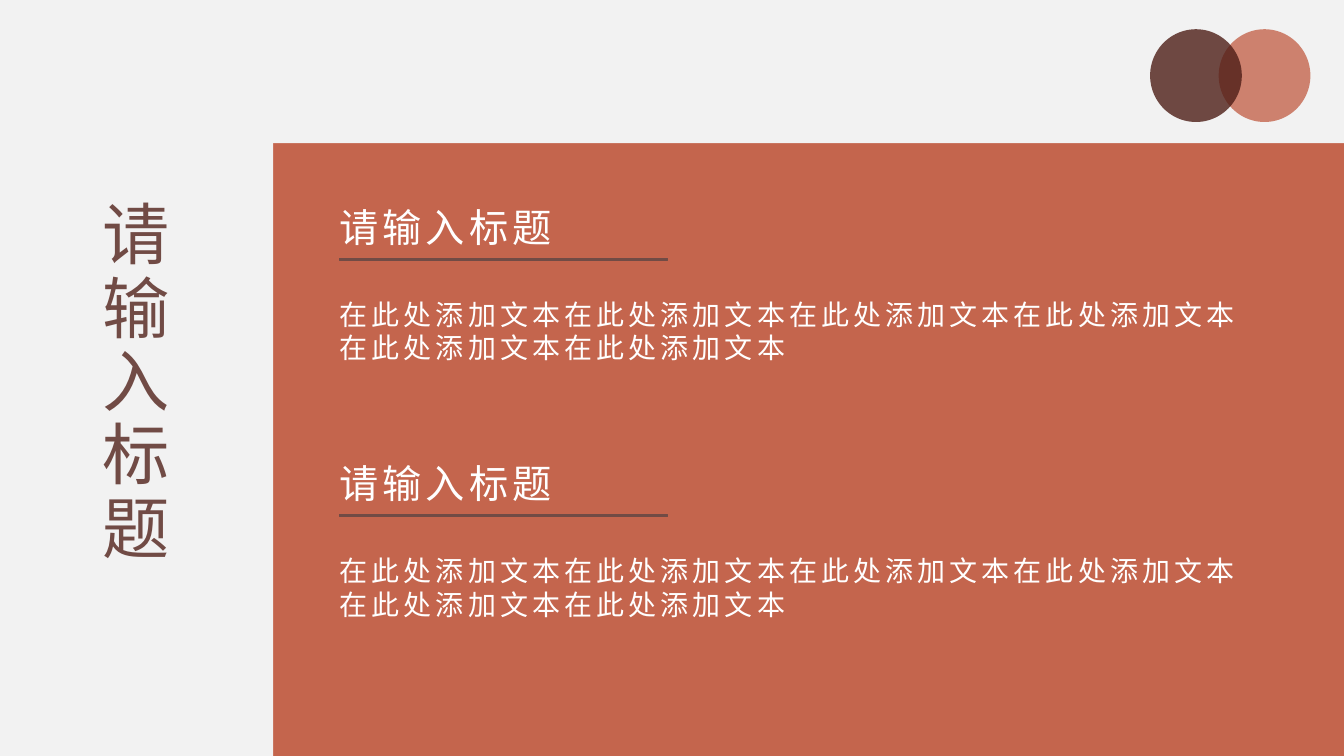
from dataclasses import dataclass
from typing import Optional

from lxml.etree import SubElement
from pptx import Presentation
from pptx.dml.color import RGBColor
from pptx.enum.shapes import MSO_SHAPE
from pptx.enum.text import MSO_AUTO_SIZE, PP_ALIGN
from pptx.oxml.ns import qn
from pptx.shapes.autoshape import Shape
from pptx.slide import Slide
from pptx.util import Inches, Pt


@dataclass(frozen=True)
class Theme:
    font: str = "Noto Sans CJK SC"
    terracotta: str = "C4654D"
    pale: str = "F2F2F2"
    brown: str = "714B45"
    dark_brown: str = "4E1E17"
    white: str = "FFFFFF"
    title_size: int = 48
    heading_size: int = 28
    body_size: int = 20


@dataclass(frozen=True)
class Area:
    """Left, top, width and height in columns and rows."""
    left: float
    top: float
    width: float
    height: float


@dataclass(frozen=True)
class Section:
    heading: str
    body: str


@dataclass(frozen=True)
class Circle:
    left: float
    color: str


THEME = Theme()
SLIDE_WIDTH, SLIDE_HEIGHT = Inches(40 / 3), Inches(7.5)
COLUMNS, ROWS = 160, 90

# Grid positions
BAND_ROWS, SIDE_COLUMNS = 17.04, 32.52
TEXT_LEFT = 40.44
FIRST_SECTION_TOP, SECTION_PITCH = 21.36, 30.55
RULE_OFFSET, BODY_OFFSET = 9.36, 14.04

TITLE = "请输入标题"
SECTIONS = [Section("请输入标题", "在此处添加文本" * 6)] * 2
CIRCLES = [Circle(145.08, THEME.terracotta), Circle(136.92, THEME.dark_brown)]


def place(area: Area) -> tuple[int, int, int, int]:
    return (
        round(area.left * SLIDE_WIDTH / COLUMNS),
        round(area.top * SLIDE_HEIGHT / ROWS),
        round(area.width * SLIDE_WIDTH / COLUMNS),
        round(area.height * SLIDE_HEIGHT / ROWS),
    )


def add_figure(page: Slide, area: Area, color: str,
               kind: MSO_SHAPE = MSO_SHAPE.RECTANGLE,
               opacity: int = 100, line_width: float = 0) -> Shape:
    figure = page.shapes.add_shape(kind, *place(area))
    figure.shadow.inherit = False
    figure.fill.solid()
    figure.fill.fore_color.rgb = RGBColor.from_string(color)
    if opacity < 100:
        color_node = figure.fill._xPr.find(qn("a:solidFill"))[0]
        SubElement(color_node, qn("a:alpha"), val=str(opacity * 1000))
    if line_width:
        figure.line.color.rgb = RGBColor.from_string(color)
        figure.line.width = Pt(line_width)
    else:
        figure.line.fill.background()
    return figure


def add_text(page: Slide, area: Area, text: str, *, size: float, color: str,
             tracking: float, line_spacing: Optional[float] = None,
             align: PP_ALIGN = PP_ALIGN.LEFT, vertical: bool = False) -> Shape:
    box = page.shapes.add_textbox(*place(area))
    frame = box.text_frame
    frame.word_wrap = True
    frame.auto_size = MSO_AUTO_SIZE.SHAPE_TO_FIT_TEXT
    frame.margin_left = frame.margin_right = 0
    frame.margin_top = frame.margin_bottom = 0
    if vertical:
        frame._txBody.bodyPr.set("vert", "eaVert")
    para = frame.paragraphs[0]
    para.alignment = align
    if line_spacing:
        para.line_spacing = Pt(line_spacing)
    span = para.add_run()
    span.text = text
    span.font.size = Pt(size)
    span.font.name = THEME.font
    span.font.color.rgb = RGBColor.from_string(color)
    properties = span._r.get_or_add_rPr()
    properties.set("spc", str(round(tracking * 100)))
    SubElement(properties, qn("a:ea"), typeface=THEME.font)
    return box


def add_section(page: Slide, section: Section, top: float) -> None:
    add_text(page, Area(TEXT_LEFT, top + BODY_OFFSET, 108.72, 12.12),
             section.body, size=THEME.body_size, color=THEME.white,
             tracking=2.9)
    add_text(page, Area(TEXT_LEFT, top, 52.8, 7.56), section.heading,
             size=THEME.heading_size, color=THEME.white, tracking=2.9,
             line_spacing=50.4)
    add_figure(page, Area(TEXT_LEFT, top + RULE_OFFSET, 39, 0.24),
               THEME.brown, line_width=0.75)


def main() -> None:
    deck = Presentation()
    deck.slide_width, deck.slide_height = SLIDE_WIDTH, SLIDE_HEIGHT
    page = deck.slides.add_slide(deck.slide_layouts[6])

    # Background and pale margins
    page.background.fill.solid()
    page.background.fill.fore_color.rgb = RGBColor.from_string(THEME.terracotta)
    add_figure(page, Area(0, 0, COLUMNS, BAND_ROWS), THEME.pale)
    add_figure(page, Area(0, 0, SIDE_COLUMNS, ROWS), THEME.pale)

    # Overlapping circles
    for circle in CIRCLES:
        add_figure(page, Area(circle.left, 3.48, 10.92, 11.04), circle.color,
                   kind=MSO_SHAPE.OVAL, opacity=80)

    # Vertical title
    add_text(page, Area(10.92, 23.88, 12.96, 46.08), TITLE,
             size=THEME.title_size, color=THEME.brown, tracking=4.4,
             line_spacing=76.7, align=PP_ALIGN.CENTER, vertical=True)

    # Text sections
    for index, section in enumerate(SECTIONS):
        add_section(page, section, FIRST_SECTION_TOP + index * SECTION_PITCH)

    deck.save("out.pptx")


if __name__ == "__main__":
    main()
